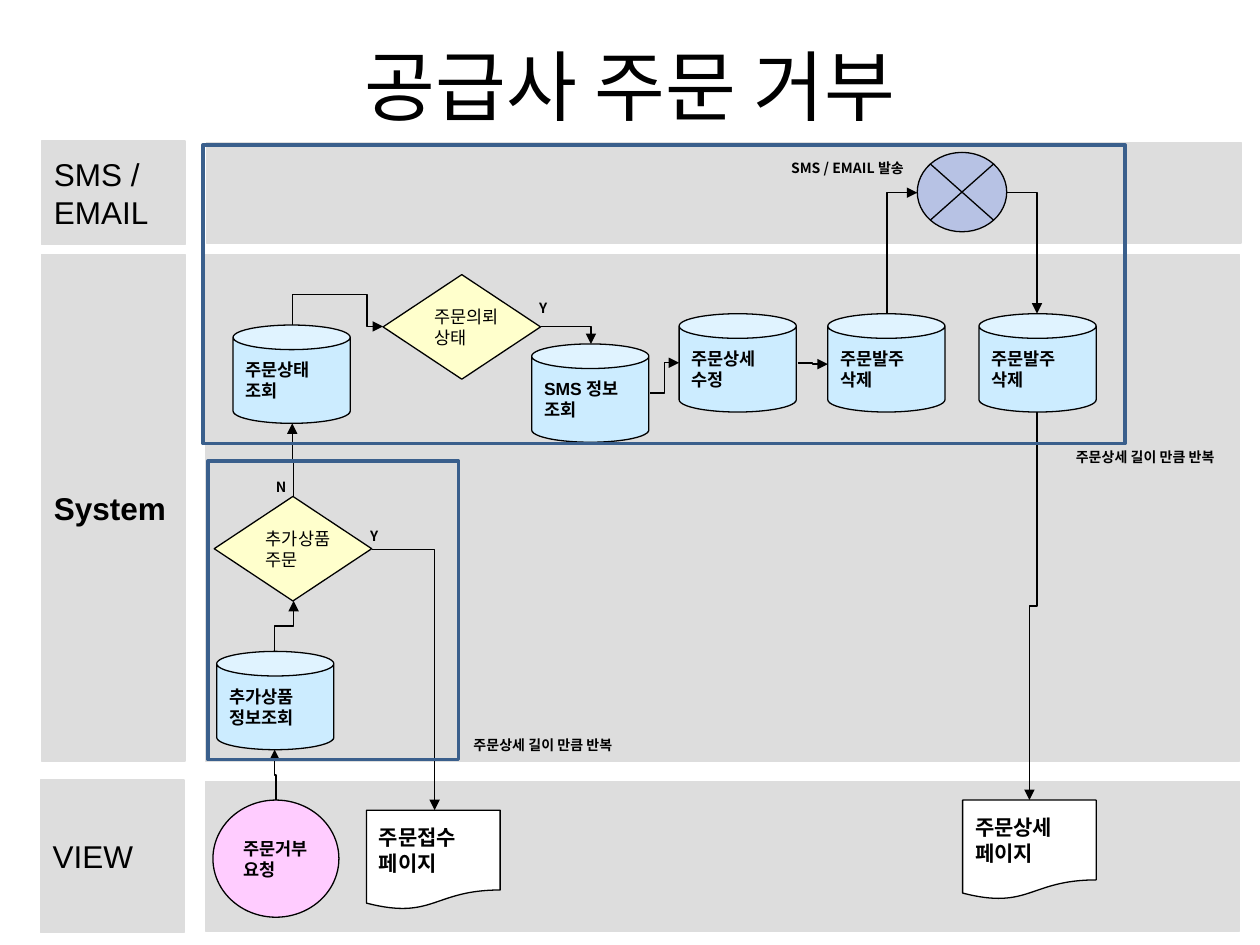
from lxml.etree import SubElement
from pptx import Presentation
from pptx.dml.color import RGBColor
from pptx.enum.shapes import MSO_CONNECTOR, MSO_SHAPE
from pptx.enum.text import MSO_ANCHOR, MSO_AUTO_SIZE, PP_ALIGN
from pptx.oxml.ns import qn
from pptx.util import Emu, Pt

PX = 9144  # 100 px to the inch
LATIN, KOREAN = "Arial", "Noto Sans CJK KR"
BLACK = RGBColor(0x00, 0x00, 0x00)
WHITE = RGBColor(0xFF, 0xFF, 0xFF)
GRAY = RGBColor(0xDD, 0xDD, 0xDD)
PINK = RGBColor(0xFF, 0xCC, 0xFF)
YELLOW = RGBColor(0xFF, 0xFF, 0xCC)
SKY = RGBColor(0xCC, 0xEC, 0xFF)
BLUE = RGBColor(0x33, 0x66, 0xFF)
FRAME_BLUE = RGBColor(0x3A, 0x5F, 0x8C)
REPEAT = "주문상세 길이 만큼 반복"


def px(*lengths):
    return [Emu(round(n * PX)) for n in lengths]


def set_text(tf, text, size, font=LATIN, bold=False, align=PP_ALIGN.LEFT):
    tf.text = text
    for p in tf.paragraphs:
        p.alignment = align
        for r in p.runs:
            r.font.size = Pt(size)
            r.font.bold = bold
            r.font.color.rgb = BLACK
            r.font.name = font
            SubElement(r.font._element, qn("a:ea")).set("typeface", KOREAN)


def add_title(s, text):
    sp = s.shapes.title
    sp.left, sp.top, sp.width, sp.height = px(50, 5, 900, 125)
    sp.text_frame.vertical_anchor = MSO_ANCHOR.MIDDLE
    set_text(sp.text_frame, text, 44, KOREAN, align=PP_ALIGN.CENTER)


def add_box(s, kind, box, fill=None, line=BLACK, weight=0.75):
    sp = s.shapes.add_shape(kind, *px(*box))
    sp.shadow.inherit = False
    if fill is None:
        sp.fill.background()
    else:
        sp.fill.solid()
        sp.fill.fore_color.rgb = fill
    sp.line.color.rgb = line
    sp.line.width = Pt(weight)
    return sp


def add_node(s, kind, box, fill, text, size=10, font=LATIN, bold=True, line=BLACK):
    """Add a shape with middle-anchored, unwrapped text."""
    sp = add_box(s, kind, box, fill, line)
    tf = sp.text_frame
    tf.word_wrap = False
    tf.vertical_anchor = MSO_ANCHOR.MIDDLE
    set_text(tf, text, size, font, bold)


def add_lane(s, header, body, text, bold=False):
    add_box(s, MSO_SHAPE.RECTANGLE, body, GRAY, GRAY)
    add_node(s, MSO_SHAPE.RECTANGLE, header, GRAY, text, 18, bold=bold, line=GRAY)


def add_database(s, x, y, text):
    add_node(s, MSO_SHAPE.CAN, (x, y, 93, 78), SKY, text)


def add_decision(s, x, y, text):
    add_node(s, MSO_SHAPE.DIAMOND, (x, y, 125, 83), YELLOW, text, font=KOREAN, bold=False)


def add_page(s, x, y, text):
    add_node(s, MSO_SHAPE.FLOWCHART_DOCUMENT, (x, y, 106, 79), WHITE, text, 12)


def add_send_mark(s, box):
    sp = add_box(s, MSO_SHAPE.FLOWCHART_SUMMING_JUNCTION, box, BLUE)
    color = sp._element.spPr.find(qn("a:solidFill"))[0]
    SubElement(color, qn("a:alpha")).set("val", "22000")


def add_label(s, x, y, width, text):
    tf = s.shapes.add_textbox(*px(x, y, width, 24)).text_frame
    tf.word_wrap = False
    tf.auto_size = MSO_AUTO_SIZE.SHAPE_TO_FIT_TEXT
    set_text(tf, text, 8, KOREAN, True)


def add_arrow(s, start, end, kind="bentConnector3", vertical=False, adjust=()):
    """Add an elbow arrow; a vertical one leaves its start up or down."""
    (x1, y1), (x2, y2) = start, end
    if vertical:  # the same elbow before a quarter turn about its centre
        cx, cy = (x1 + x2) / 2, (y1 + y2) / 2
        w, h = y2 - y1, x1 - x2
        x1, y1, x2, y2 = cx - w / 2, cy - h / 2, cx + w / 2, cy + h / 2
    line = s.shapes.add_connector(MSO_CONNECTOR.ELBOW, *px(x1, y1, x2, y2))
    line.line.color.rgb = BLACK
    line.line.width = Pt(0.75)
    spPr = line._element.spPr
    if vertical:
        spPr.find(qn("a:xfrm")).set("rot", "5400000")
    geom = spPr.find(qn("a:prstGeom"))
    geom.set("prst", kind)
    for i, value in enumerate(adjust, 1):
        gd = SubElement(geom.find(qn("a:avLst")), qn("a:gd"))
        gd.set("name", f"adj{i}")
        gd.set("fmla", f"val {value}")
    SubElement(spPr.find(qn("a:ln")), qn("a:tailEnd")).set("type", "triangle")
    SubElement(spPr, qn("a:effectLst"))


def main():
    prs = Presentation()
    prs.slide_width, prs.slide_height = px(1000, 750)
    s = prs.slides.add_slide(prs.slide_layouts[5])
    add_title(s, "공급사 주문 거부")

    add_lane(s, (32, 619, 114, 121), (163, 620, 821, 119), "VIEW")
    add_lane(s, (33, 202, 114, 402), (163, 202, 821, 402), "System", bold=True)
    add_lane(s, (33, 112, 114, 82), (164, 113, 821, 80), "SMS /\nEMAIL")

    add_node(s, MSO_SHAPE.OVAL, (169, 635, 100, 93), PINK, "주문거부\n요청")
    add_send_mark(s, (728, 121, 71, 63))
    for x, y, text in (
        (170, 394, "추가상품\n주문"),
        (304, 218, "주문의뢰\n상태"),
    ):
        add_decision(s, x, y, text)
    for x, y, text in (
        (172, 517, "추가상품\n정보조회"),
        (185, 258, "주문상태\n조회"),
        (422, 273, "SMS 정보\n조회"),
        (539, 249, "주문상세\n수정"),
        (657, 249, "주문발주\n삭제"),
        (777, 249, "주문발주\n삭제"),
    ):
        add_database(s, x, y, text)

    for start, end in (
        ((219, 635), (218, 595)),
        ((218, 517), (233, 477)),
        ((233, 394), (232, 336)),
        ((823, 327), (817, 635)),
    ):
        add_arrow(s, start, end, vertical=True)
    add_arrow(s, (232, 258), (304, 259), "bentConnector4", True, (-2500000, 82200))
    add_arrow(s, (704, 249), (728, 153), "bentConnector2", True)
    for start, end in (
        ((295, 436), (345, 643)),
        ((429, 259), (469, 273)),
        ((799, 153), (823, 249)),
    ):
        add_arrow(s, start, end, "bentConnector2")
    add_arrow(s, (516, 312), (539, 288))
    add_arrow(s, (633, 288), (657, 289))

    add_page(s, 764, 635, "주문상세\n페이지")
    add_page(s, 291, 643, "주문접수\n페이지")
    for frame in ((165, 366, 199, 237), (161, 115, 732, 237)):
        add_box(s, MSO_SHAPE.RECTANGLE, frame, line=FRAME_BLUE, weight=2)
    for x, y, width, text in (
        (618, 122, 117, "SMS / EMAIL 발송"),
        (284, 414, 27, "Y"),
        (418, 233, 27, "Y"),
        (209, 375, 29, "N"),
        (366, 580, 144, REPEAT),
        (844, 351, 144, REPEAT),
    ):
        add_label(s, x, y, width, text)
    prs.save("out.pptx")


if __name__ == "__main__":
    main()
